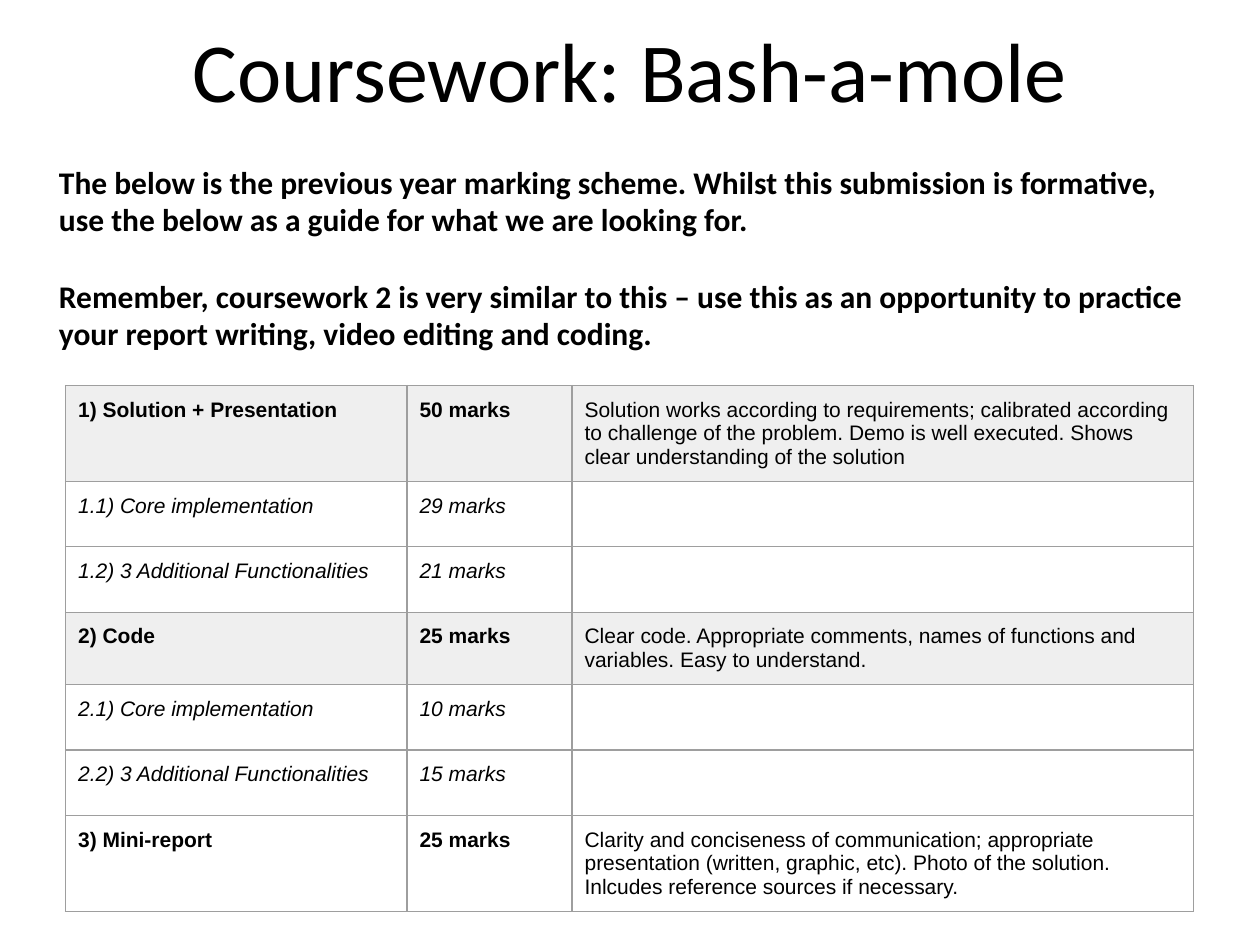
from lxml import etree
from pptx import Presentation
from pptx.dml.color import RGBColor
from pptx.enum.text import MSO_ANCHOR, MSO_AUTO_SIZE, PP_ALIGN
from pptx.oxml.ns import qn
from pptx.util import Inches, Pt

BOTTOM = MSO_ANCHOR.BOTTOM
TOP = MSO_ANCHOR.TOP
CENTER = PP_ALIGN.CENTER
NO_AUTOFIT = MSO_AUTO_SIZE.NONE
COLORS = {"text": "000000", "border": "9E9E9E", "section": "EFEFEF"}
MARGIN = Inches(0.1)


def set_font(paragraph, name, size, bold=False, italic=False):
    font = paragraph.font
    font.name = name
    font.size = Pt(size)
    font.bold = bold
    font.italic = italic
    font.color.rgb = RGBColor.from_string(COLORS["text"])


def format_cell(cell, fill):
    cell.margin_left = cell.margin_right = MARGIN
    cell.margin_top = cell.margin_bottom = MARGIN
    cell.vertical_anchor = TOP
    properties = cell._tc.get_or_add_tcPr()
    for side in ("a:lnL", "a:lnR", "a:lnT", "a:lnB"):
        line = etree.SubElement(properties, qn(side), w=str(Pt(0.75)))
        solid = etree.SubElement(line, qn("a:solidFill"))
        etree.SubElement(solid, qn("a:srgbClr"), val=COLORS["border"])
    if fill:
        cell.fill.solid()
        cell.fill.fore_color.rgb = RGBColor.from_string(fill)
    else:
        cell.fill.background()


presentation = Presentation()
presentation.slide_width = Inches(10)
presentation.slide_height = Inches(7.5)
slide = presentation.slides.add_slide(presentation.slide_layouts[5])

title = slide.shapes.title
title.left, title.top = Inches(0.5), Inches(-0.2)
title.width, title.height = Inches(9), Inches(1.25)
title.text = "Coursework: Bash-a-mole"
title.text_frame.vertical_anchor = BOTTOM
title.text_frame.paragraphs[0].alignment = CENTER
set_font(title.text_frame.paragraphs[0], "Calibri", 48)

introduction = slide.shapes.add_textbox(Inches(0.37), Inches(1.19), Inches(9.3), Inches(1.72))
introduction.text_frame.text = (
    "The below is the previous year marking scheme. Whilst this submission is formative, "
    "use the below as a guide for what we are looking for.\n"
    "Remember, coursework 2 is very similar to this – use this as an opportunity to practice "
    "your report writing, video editing and coding."
)
for paragraph in introduction.text_frame.paragraphs:
    set_font(paragraph, "Calibri", 18, bold=True)
introduction.text_frame.paragraphs[1].space_before = Pt(22)

for frame in (title.text_frame, introduction.text_frame):
    frame.word_wrap = True
    frame.auto_size = NO_AUTOFIT
    frame.margin_left = frame.margin_right = MARGIN
    frame.margin_top = frame.margin_bottom = MARGIN

marking_scheme = [
    ("1) Solution + Presentation", "50 marks",
     "Solution works according to requirements; calibrated according to challenge of the "
     "problem. Demo is well executed. Shows clear understanding of the solution"),
    ("1.1) Core implementation", "29 marks", ""),
    ("1.2) 3 Additional Functionalities", "21 marks", ""),
    ("2) Code", "25 marks",
     "Clear code. Appropriate comments, names of functions and variables. Easy to understand."),
    ("2.1) Core implementation", "10 marks", ""),
    ("2.2) 3 Additional Functionalities", "15 marks", ""),
    ("3) Mini-report", "25 marks",
     "Clarity and conciseness of communication; appropriate presentation (written, graphic, "
     "etc). Photo of the solution. Inlcudes reference sources if necessary."),
]
section_rows = (0, 3, 6)
shaded_rows = (0, 3)
column_widths = (2.71, 1.31, 4.93)
row_height = Inches(0.52)

table = slide.shapes.add_table(
    len(marking_scheme), len(column_widths), Inches(0.52), Inches(3.06),
    Inches(sum(column_widths)), row_height * len(marking_scheme),
).table
table.first_row = False
table.horz_banding = False
for column, width in zip(table.columns, column_widths):
    column.width = Inches(width)

for row_index, values in enumerate(marking_scheme):
    table.rows[row_index].height = row_height
    is_section = row_index in section_rows
    fill = COLORS["section"] if row_index in shaded_rows else None
    for column_index, text in enumerate(values):
        cell = table.cell(row_index, column_index)
        format_cell(cell, fill)
        if text:
            cell.text = text
            set_font(cell.text_frame.paragraphs[0], "Arial", 12,
                     bold=is_section and column_index < 2, italic=not is_section)

presentation.save("out.pptx")
